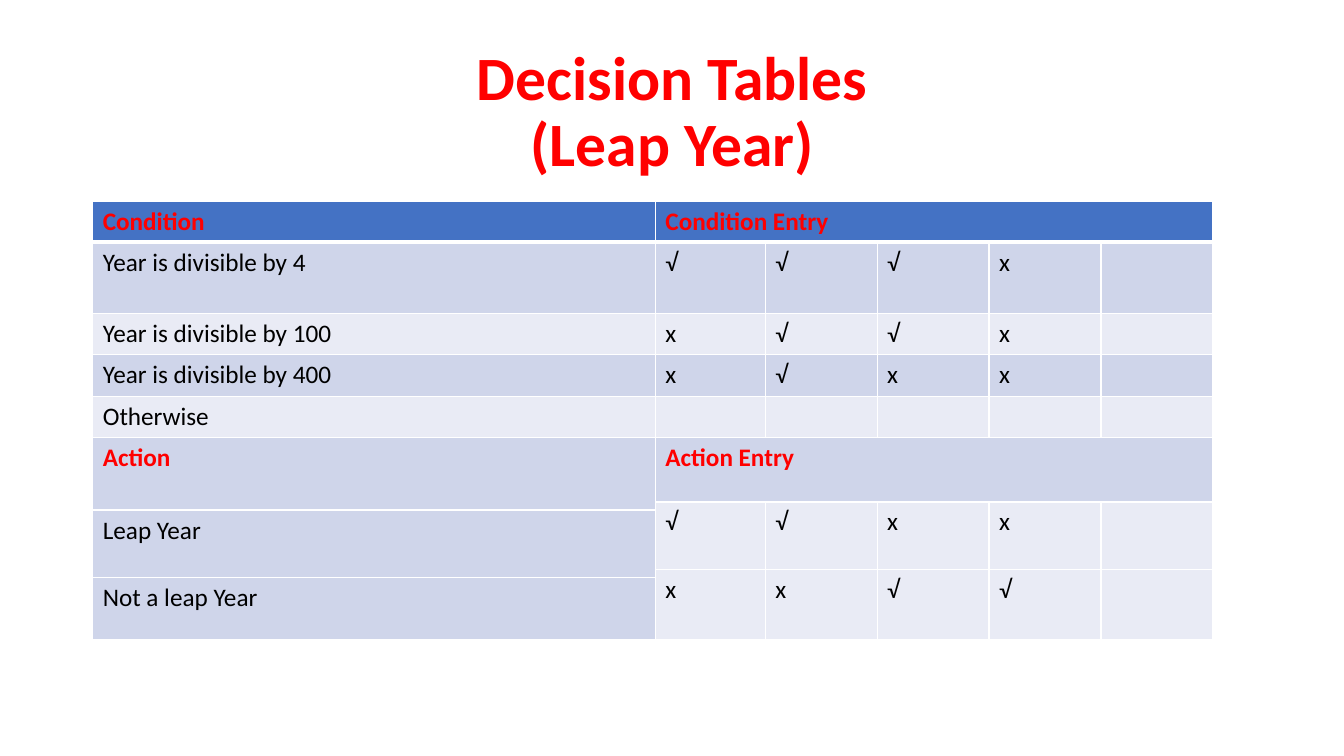
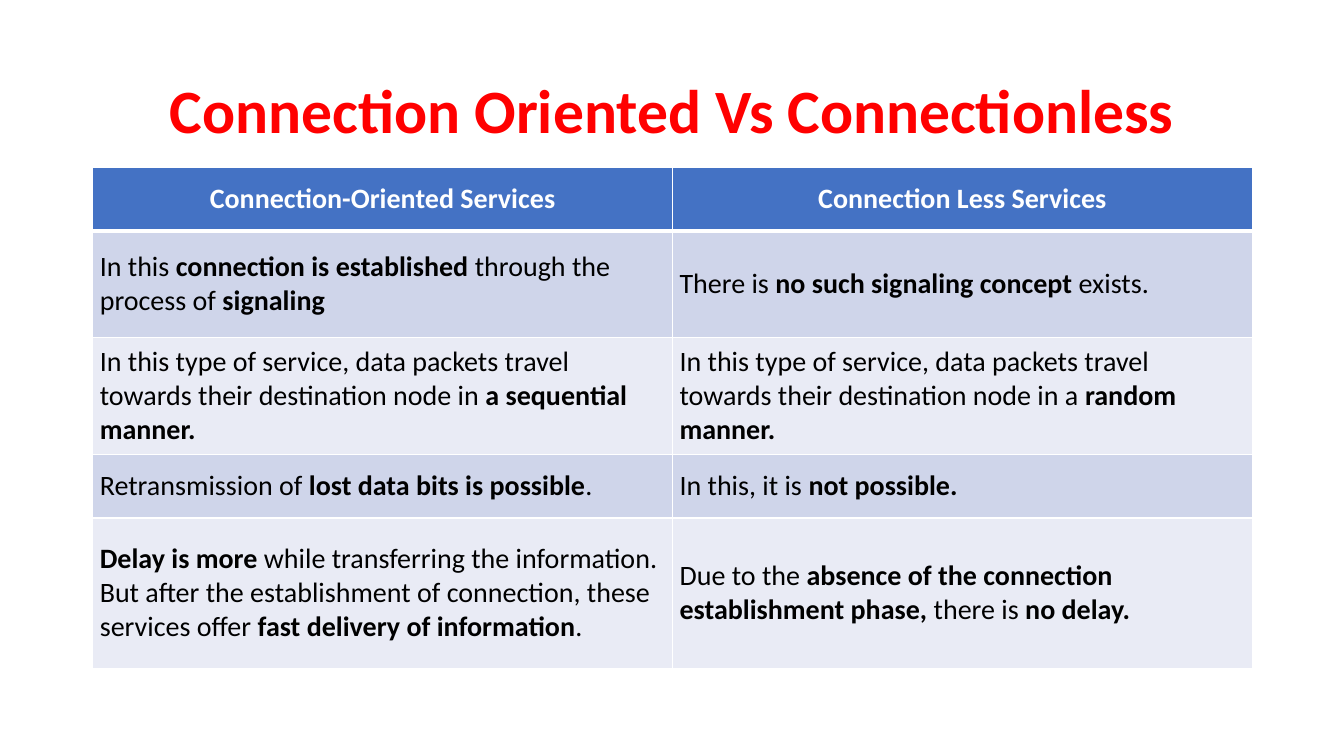
from dataclasses import dataclass

from lxml.etree import SubElement
from pptx import Presentation
from pptx.dml.color import RGBColor
from pptx.enum.text import MSO_ANCHOR, PP_ALIGN
from pptx.oxml.ns import qn
from pptx.util import Inches, Pt


@dataclass(frozen=True)
class Theme:
    font: str = "Calibri"
    red: str = "FF0000"
    black: str = "000000"
    white: str = "FFFFFF"
    head: str = "4472C4"
    band: str = "CFD5EA"
    pale: str = "E9EBF5"
    title: int = 44
    body: int = 18
    large: int = 20
    thin: int = 1
    thick: int = 3
    left: float = 0.92


THEME = Theme()


def write(frame, text, size=THEME.body, color=THEME.black, bold=False,
          align=PP_ALIGN.LEFT, spacing=None):
    """Fill a frame; asterisks switch bold, a newline breaks the line."""
    para = frame.paragraphs[0]
    para.alignment = align
    if spacing:
        para.line_spacing = spacing
    for row, line in enumerate(text.split("\n")):
        if row:
            para.add_line_break()
        for part, words in enumerate(line.split("*")):
            if not words:
                continue
            run = para.add_run()
            run.text = words
            font = run.font
            font.name, font.size = THEME.font, Pt(size)
            font.bold = bold or part % 2 == 1
            font.color.rgb = RGBColor.from_string(color)


def edge(cell, **widths):
    """Draw white borders, given as side=points."""
    props = cell._tc.get_or_add_tcPr()
    for side, width in widths.items():
        line = SubElement(props, qn(f"a:ln{side}"), w=str(Pt(width)))
        fill = SubElement(line, qn("a:solidFill"))
        SubElement(fill, qn("a:srgbClr"), val=THEME.white)


def stripe(row, col):
    """Give the fill of a banded table's cell."""
    if row == 0:
        return THEME.head
    return THEME.band if row % 2 else THEME.pale


def split(row, col):
    """Band the conditions by row and the actions by column."""
    if row > 5:
        return THEME.pale if col else THEME.band
    return stripe(row, col)


class Deck:
    def __init__(self):
        self.show = Presentation()
        self.show.slide_width = Inches(13.33)
        self.show.slide_height = Inches(7.5)
        self.slide = None

    def page(self, title):
        self.slide = self.show.slides.add_slide(self.show.slide_layouts[6])
        box = self.slide.shapes.add_textbox(
            Inches(THEME.left), Inches(0.4), Inches(11.5), Inches(1.45))
        frame = box.text_frame
        frame.word_wrap = True
        frame.vertical_anchor = MSO_ANCHOR.MIDDLE
        write(frame, title, size=THEME.title, color=THEME.red, bold=True,
              align=PP_ALIGN.CENTER, spacing=0.9)

    def table(self, top, cols, rows, cells, heads, style, shade=stripe,
              size=THEME.body, anchor=MSO_ANCHOR.TOP, inset=None, spans=()):
        """Add a table; rows listed in heads take the style's format."""
        grid = self.slide.shapes.add_table(
            len(rows), len(cols), Inches(THEME.left), Inches(top),
            Inches(sum(cols)), Inches(sum(rows))).table
        for col, width in zip(grid.columns, cols):
            col.width = Inches(width)
        for row, height in zip(grid.rows, rows):
            row.height = Inches(height)
        for r, line in enumerate(cells):
            look = style if r in heads else {}
            for c, text in enumerate(line):
                cell = grid.cell(r, c)
                edge(cell, L=THEME.thin, R=THEME.thin,
                     T=THEME.thick if r == 1 else THEME.thin,
                     B=THEME.thick if r == 0 else THEME.thin)
                cell.fill.solid()
                cell.fill.fore_color.rgb = RGBColor.from_string(shade(r, c))
                cell.vertical_anchor = anchor
                if inset:
                    cell.margin_left = cell.margin_right = Inches(inset)
                    cell.margin_top = cell.margin_bottom = Inches(inset)
                write(cell.text_frame, text, size=size, **look)
        for r, c, deep, wide in spans:
            grid.cell(r, c).merge(grid.cell(r + deep - 1, c + wide - 1))


def leap(deck):
    deck.page("Decision Tables\n(Leap Year)")
    lines = [
        ("Condition", ["Condition Entry"]),
        ("Year is divisible by 4", "√√√x"),
        ("Year is divisible by 100", "x√√x"),
        ("Year is divisible by 400", "x√xx"),
        ("Otherwise", ""),
        ("Action", ["Action Entry"]),
        ("", "√√xx"),
        ("Leap Year", ""),
        ("", "xx√√"),
        ("Not a leap Year", ""),
    ]
    cells = [[name, *marks] + [""] * (5 - len(marks)) for name, marks in lines]
    spans = [(r, 1, 1, 5) for r in (0, 5)]
    spans += [(r, 0, 2, 1) for r in (5, 7)]
    spans += [(r, c, 2, 1) for r in (6, 8) for c in range(1, 6)]
    deck.table(
        2, [5.58, 1.09] + [1.11] * 4,
        [0.4, 0.71, 0.41, 0.41, 0.41, 0.64, 0.08, 0.59, 0.08, 0.62],
        cells, heads=(0, 5), style=dict(color=THEME.red, bold=True),
        shade=split, spans=spans)


def links(deck):
    deck.page("Connection Oriented Vs Connectionless")
    cells = [
        ("Connection-Oriented Services", "Connection Less Services"),
        ("In this *connection is established* through the process of "
         "*signaling*",
         "There is *no such signaling concept* exists."),
        ("In this type of service, data packets travel towards their "
         "destination node in* a sequential manner.*",
         "In this type of service, data packets travel towards their "
         "destination node in a *random manner.*"),
        ("Retransmission of *lost data bits is possible*.",
         "In this, it is *not possible.*"),
        ("*Delay is more* while transferring the information. But after the "
         "establishment of connection, these services offer "
         "*fast delivery of information*.",
         "Due to the *absence of the connection establishment phase,* "
         "there is* no delay.*"),
    ]
    deck.table(
        1.66, [5.75] * 2, [0.63, 1.06, 1.16, 0.63, 1.49], cells, heads=(0,),
        style=dict(color=THEME.white, bold=True, align=PP_ALIGN.CENTER),
        size=THEME.large, anchor=MSO_ANCHOR.MIDDLE, inset=0.07)


def main():
    deck = Deck()
    leap(deck)
    links(deck)
    deck.show.save("out.pptx")


if __name__ == "__main__":
    main()
